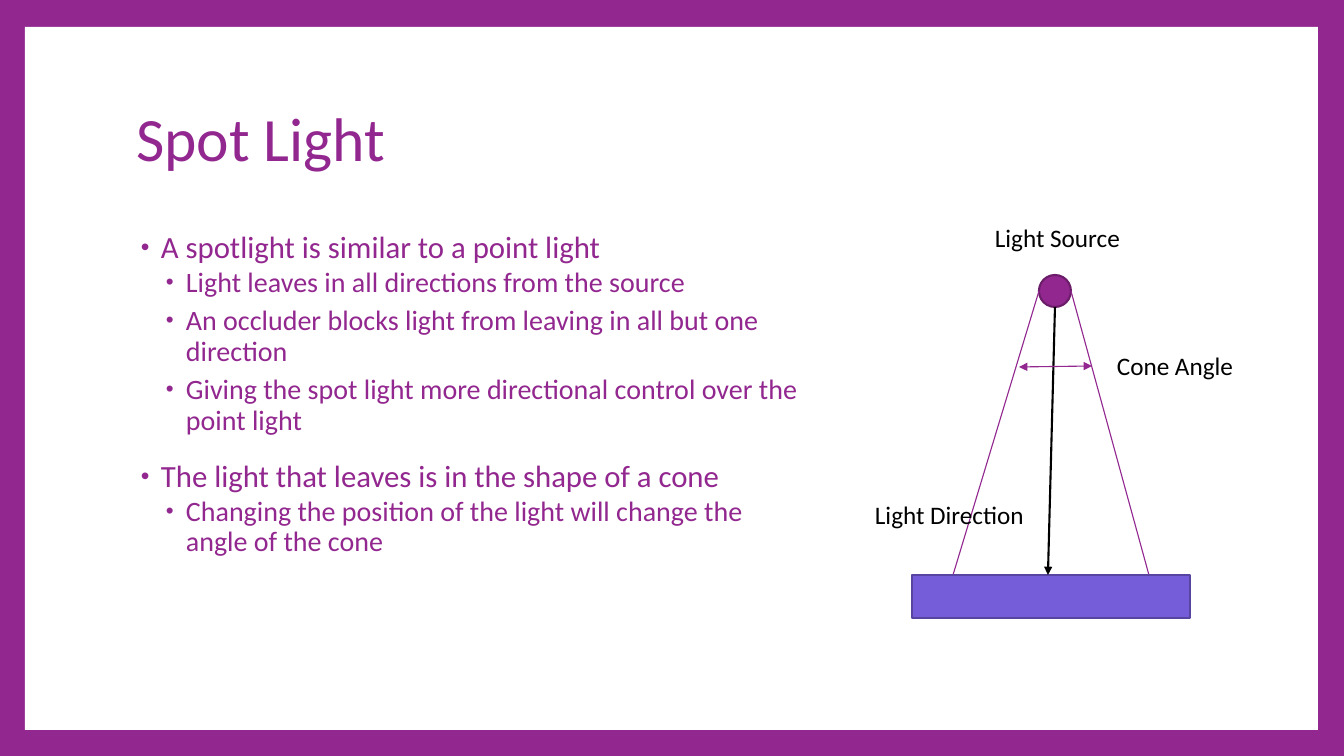
from dataclasses import dataclass

from lxml import etree
from pptx import Presentation
from pptx.dml.color import RGBColor
from pptx.enum.shapes import MSO_CONNECTOR, MSO_SHAPE
from pptx.enum.text import MSO_ANCHOR, PP_ALIGN
from pptx.oxml.ns import qn
from pptx.util import Emu, Pt

STRAIGHT = MSO_CONNECTOR.STRAIGHT
RECTANGLE, OVAL = MSO_SHAPE.RECTANGLE, MSO_SHAPE.OVAL
MIDDLE, LEFT = MSO_ANCHOR.MIDDLE, PP_ALIGN.LEFT
EMU_PER_PIXEL = 914400 / 100.8


@dataclass(frozen=True)
class Theme:
    """Colours, font and type sizes of the deck."""
    purple: str = "92278F"
    purple_edge: str = "6C1D6A"
    violet: str = "755DD9"
    violet_edge: str = "5745A1"
    white: str = "FFFFFF"
    black: str = "000000"
    font: str = "Calibri"
    title: int = 44
    levels: tuple = (22, 20)
    label: int = 18
    thin: float = 0.79
    thick: float = 1.5


THEME = Theme()
BULLETS = [
    (0, "A spotlight is similar to a point light"),
    (1, "Light leaves in all directions from the source"),
    (1, "An occluder blocks light from leaving in all but one direction"),
    (1, "Giving the spot light more directional control over the point light"),
    (0, "The light that leaves is in the shape of a cone"),
    (1, "Changing the position of the light will change the angle of the cone"),
]


def px(*lengths):
    """Turn pixel lengths into a list of EMU lengths."""
    return [Emu(round(length * EMU_PER_PIXEL)) for length in lengths]


def colour(value):
    """Make a colour from its hex code."""
    return RGBColor.from_string(value)


def style_text(para, size, ink):
    """Format every run of a paragraph."""
    for span in para.runs:
        span.font.name = THEME.font
        span.font.size = Pt(size)
        span.font.color.rgb = colour(ink)


def add_figure(page, kind, box, fill, edge=None):
    """Add a filled preset shape, outlined when an edge colour is given."""
    figure = page.shapes.add_shape(kind, *px(*box))
    figure.shadow.inherit = False
    figure.fill.solid()
    figure.fill.fore_color.rgb = colour(fill)
    if edge:
        figure.line.color.rgb = colour(edge)
        figure.line.width = Pt(THEME.thick)
    else:
        figure.line.fill.background()
    return figure


def add_line(page, start, end, ink, width, arrows=()):
    """Add a straight line with triangles at the named ends."""
    line = page.shapes.add_connector(STRAIGHT, *px(*start, *end))
    line.line.color.rgb = colour(ink)
    line.line.width = Pt(width)
    outline = line.line._get_or_add_ln()
    for arrow in arrows:
        etree.SubElement(outline, qn(f"a:{arrow}"), type="triangle")
    etree.SubElement(line._element.spPr, qn("a:effectLst"))


def add_bullet(para, level):
    """Give a paragraph its level's spacing, indent and bullet."""
    para.line_spacing = 0.9
    para.space_before = Pt((14, 2)[level])
    para.space_after = Pt((0, 4)[level])
    para.level = level
    properties = para._p.get_or_add_pPr()
    margin, hanging = px(25 * (level + 1), -20)
    properties.set("marL", str(margin))
    properties.set("indent", str(hanging))
    bullet_colour = etree.SubElement(properties, qn("a:buClr"))
    etree.SubElement(bullet_colour, qn("a:srgbClr"), val=THEME.purple)
    etree.SubElement(properties, qn("a:buSzPct"), val="80000")
    etree.SubElement(properties, qn("a:buFont"), typeface="Arial")
    etree.SubElement(properties, qn("a:buChar"), char="•")


def draw_frame(page, box):
    """Colour the background and lay the white panel over it."""
    page.background.fill.solid()
    page.background.fill.fore_color.rgb = colour(THEME.purple)
    panel = add_figure(page, RECTANGLE, box, THEME.white)
    page.shapes._spTree.insert(2, panel._element)


def draw_title(page, box, text):
    """Place and format the title placeholder."""
    title = page.shapes.title
    title.left, title.top, title.width, title.height = px(*box)
    title.text_frame.text = text
    title.text_frame.vertical_anchor = MIDDLE
    para = title.text_frame.paragraphs[0]
    para.alignment = LEFT
    para.line_spacing = 0.9
    style_text(para, THEME.title, THEME.purple)


def draw_bullets(page, box, bullets):
    """Write the two-level bullet list."""
    frame = page.shapes.add_textbox(*px(*box)).text_frame
    frame.word_wrap = True
    frame.text = "\n".join(text for _, text in bullets)
    for para, (level, _) in zip(frame.paragraphs, bullets):
        add_bullet(para, level)
        style_text(para, THEME.levels[level], THEME.purple)


def draw_label(page, box, text):
    """Write one diagram label."""
    frame = page.shapes.add_textbox(*px(*box)).text_frame
    frame.word_wrap = True
    frame.text = text
    style_text(frame.paragraphs[0], THEME.label, THEME.black)


def draw_spotlight(page, box):
    """Draw the lamp, its cone, the lit floor and their labels."""
    left, top, width, height = box
    lamp_size, floor_height = 32, 43
    lamp_left, lamp_top = left + 174, top + 58
    lamp_right, lamp_bottom = lamp_left + lamp_size, lamp_top + lamp_size
    lamp_x, lamp_y = lamp_left + lamp_size // 2, lamp_top + lamp_size // 2
    floor_top = top + height - floor_height

    add_figure(page, OVAL, (lamp_left, lamp_top, lamp_size, lamp_size),
               THEME.purple, THEME.purple_edge)
    for edge_x, foot_x in ((lamp_left, left + 88), (lamp_right, left + 284)):
        add_line(page, (edge_x, lamp_y), (foot_x, floor_top),
                 THEME.purple, THEME.thin)
    add_figure(page, RECTANGLE, (left + 47, floor_top, 278, floor_height),
               THEME.violet, THEME.violet_edge)
    add_line(page, (lamp_x, lamp_bottom), (left + 183, floor_top),
             THEME.black, THEME.thick, ["tailEnd"])
    add_line(page, (left + 154, top + 150), (left + 227, top + 149),
             THEME.purple, THEME.thin, ["headEnd", "tailEnd"])

    labels = [("Light Source", 120, 0, 152),
              ("Cone Angle", width - 152, 128, 152),
              ("Light Direction", 0, 277, 186)]
    for text, x, y, label_width in labels:
        draw_label(page, (left + x, top + y, label_width, 40), text)


def build_page(deck):
    """Build the Spot Light slide on the title-only layout."""
    page = deck.slides.add_slide(deck.slide_layouts[5])
    draw_frame(page, (25, 27, 1293, 703))
    draw_title(page, (126, 67, 1089, 149), "Spot Light")
    draw_bullets(page, (126, 227, 690, 445), BULLETS)
    draw_spotlight(page, (865, 217, 394, 401))


deck = Presentation()
deck.slide_width, deck.slide_height = px(1344, 756)
build_page(deck)
deck.save("out.pptx")
